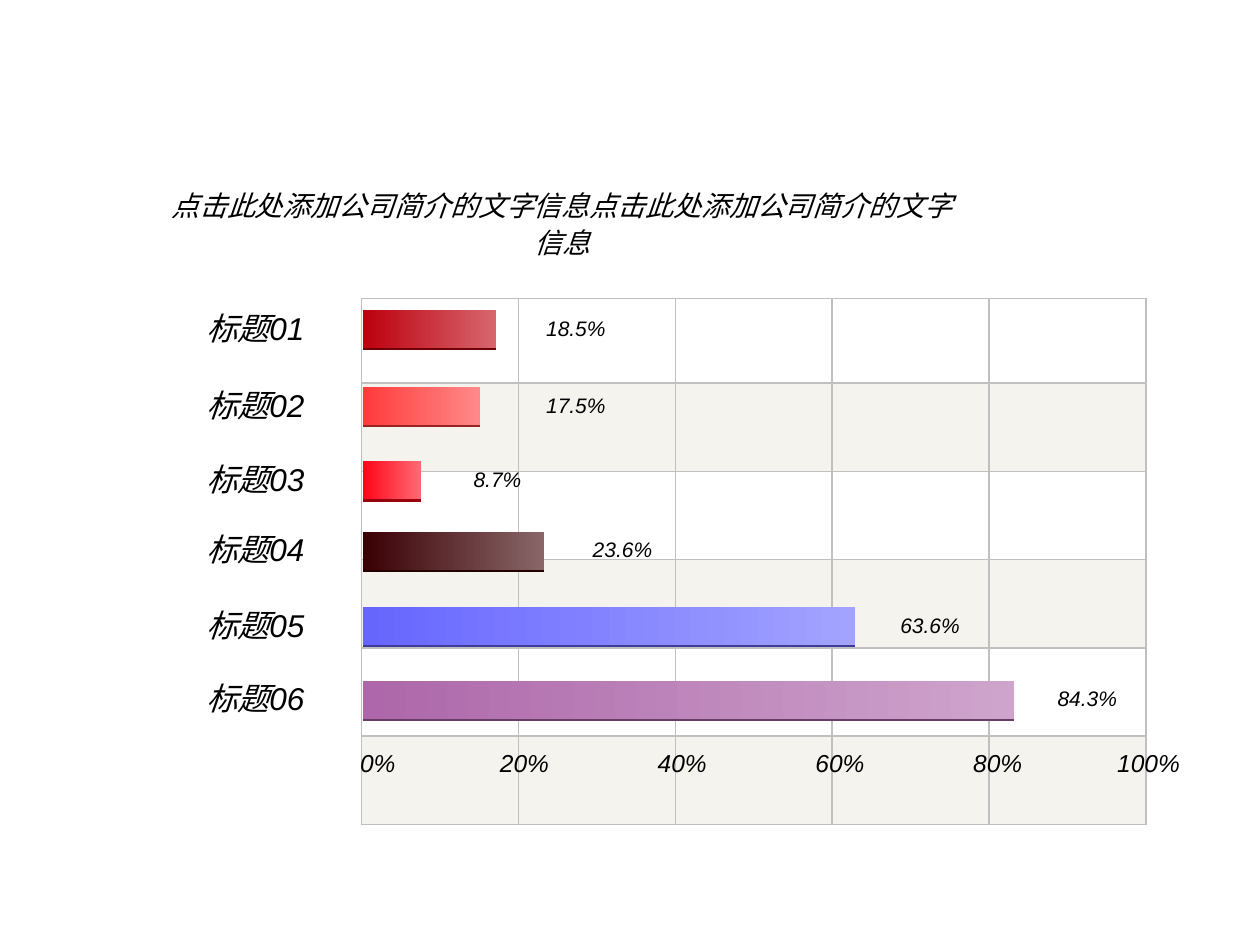
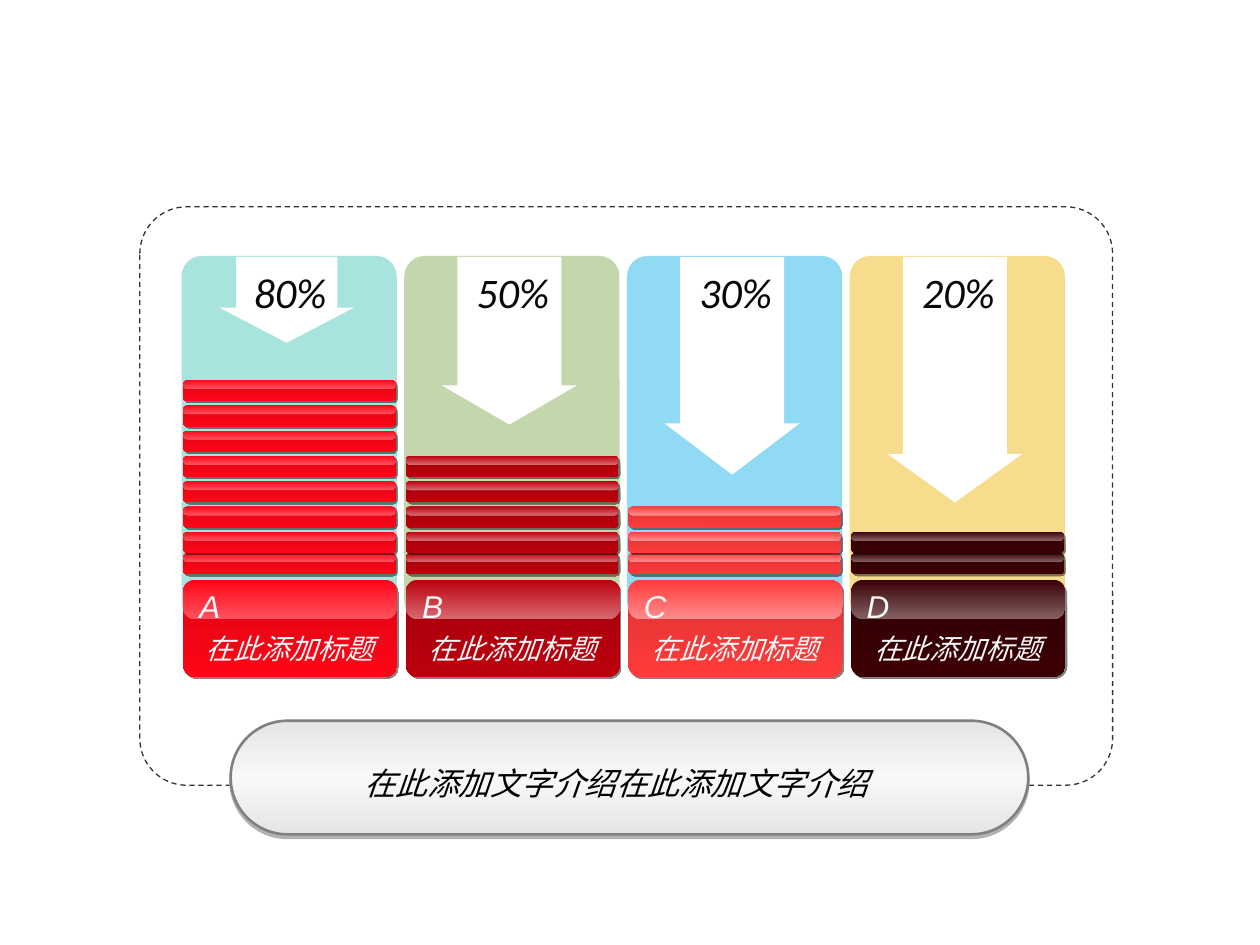
from collections import namedtuple

from lxml.etree import SubElement
from pptx import Presentation
from pptx.dml.color import RGBColor
from pptx.enum.dml import MSO_LINE
from pptx.enum.shapes import MSO_SHAPE as Preset
from pptx.enum.text import MSO_ANCHOR as Anchor, MSO_AUTO_SIZE as AutoSize, PP_ALIGN as Align
from pptx.oxml.ns import qn
from pptx.util import Cm, Pt

BLACK = "000000"
WHITE = "FFFFFF"
NEAR_WHITE = "F8F8F8"
NEAR_BLACK = "080808"
GRID = "C0C0C0"
BAND = "EDE9DF"

Box = namedtuple("Box", "left top width height")
Bar = namedtuple("Bar", "label value top width value_left start end edge")
Column = namedtuple("Column", "letter percent blocks panel dark main shine arrow_height neck head")

BARS = [
    Bar("标题01", "18.5%", 0.23, 2.69, 3.1, "BC000D", "D7666E", "710008"),
    Bar("标题02", "17.5%", 1.78, 2.36, 3.1, "FF3B3B", "FF8989", "992323"),
    Bar("标题03", "8.7%", 3.28, 1.17, 1.52, "FF0517", "FF6974", "99030E"),
    Bar("标题04", "23.6%", 4.7, 3.66, 4.04, "3A0004", "896668", "230002"),
    Bar("标题05", "63.6%", 6.22, 9.93, 10.24, "6666FF", "A3A3FF", "3D3D99"),
    Bar("标题06", "84.3%", 7.7, 13.13, 13.41, "AD67AA", "CEA4CC", "683E66"),
]
COLUMNS = [
    Column("A", "80%", 8, "52CABF", "DB0414", "FF0517", "FF515E", 1.73, 0.75, 0.41),
    Column("B", "50%", 5, "8AAE5A", "A1000B", "BC000D", "D76870", 3.38, 0.77, 0.29),
    Column("C", "30%", 3, "25B7EB", "DB3333", "FF3B3B", "FF8B8B", 4.39, 0.77, 0.38),
    Column("D", "20%", 2, "F3BB1D", "320003", "3A0004", "846062", 4.95, 0.77, 0.36),
]


def rgb(color):
    return RGBColor.from_string(color)


def add_color(parent, color, alpha=100):
    element = SubElement(parent, qn("a:srgbClr"), val=color)
    if alpha < 100:
        SubElement(element, qn("a:alpha"), val=str(alpha * 1000))


def add_shadow(effects, color, distance, angle, alpha=100):
    shadow = SubElement(effects, qn("a:outerShdw"), blurRad="0", dist=str(Pt(distance)),
                        dir=str(angle * 60000), algn="ctr", rotWithShape="0")
    add_color(shadow, color, alpha)


def paint(target, properties, colors, alpha=100, angle=90):
    if len(colors) == 1:
        target.fill.solid()
        target.fill.fore_color.rgb = rgb(colors[0])
        fill = properties.find(qn("a:solidFill"))
        fill.clear()
        add_color(fill, colors[0], alpha)
        return
    target.fill.gradient()
    fill = properties.find(qn("a:gradFill"))
    fill.clear()
    stops = SubElement(fill, qn("a:gsLst"))
    for index, color in enumerate(colors):
        position = 100000 * index // (len(colors) - 1)
        add_color(SubElement(stops, qn("a:gs"), pos=str(position)), color)
    SubElement(fill, qn("a:lin"), ang=str(angle * 60000), scaled="0")


def add_block(shapes, preset, box, *colors, alpha=100, angle=90, adjustments=(),
              line=None, line_width=0.75, dash=None, shadow=None):
    shape = shapes.add_shape(preset, *map(Cm, box))
    properties = shape._element.spPr
    for index, value in enumerate(adjustments):
        shape.adjustments[index] = value
    paint(shape, properties, colors, alpha, angle)
    if line:
        shape.line.color.rgb = rgb(line)
        shape.line.width = Pt(line_width)
        shape.line.dash_style = dash
    else:
        shape.line.fill.background()
    shape.shadow.inherit = False
    if shadow:
        add_shadow(properties.find(qn("a:effectLst")), **shadow)
    return shape


def write(shape, text, size=18, color=BLACK, font="Arial", align=Align.CENTER,
          line_spacing=None, shadow=False):
    frame = shape.text_frame
    frame.word_wrap = True
    frame.auto_size = AutoSize.NONE
    frame.vertical_anchor = Anchor.TOP
    paragraph = frame.paragraphs[0]
    paragraph.alignment = align
    paragraph.line_spacing = line_spacing
    run = paragraph.add_run()
    run.text = text
    run.font.size = Pt(size)
    run.font.name = font
    run.font.italic = True
    run.font.color.rgb = rgb(color)
    if shadow:
        properties = run._r.get_or_add_rPr()
        effects = SubElement(properties, qn("a:effectLst"))
        add_shadow(effects, BLACK, 1.4, 45)
        properties.find(qn("a:solidFill")).addnext(effects)
    return paragraph


def add_text(slide, box, text, **style):
    return write(slide.shapes.add_textbox(*map(Cm, box)), text, **style)


def add_heading(slide, box, text):
    title = slide.shapes.title
    title.left, title.top, title.width, title.height = map(Cm, box)
    write(title, text, size=16, line_spacing=1.1)


def border_cell(cell):
    properties = cell._tc.get_or_add_tcPr()
    for index, side in enumerate(("a:lnL", "a:lnR", "a:lnT", "a:lnB")):
        line = SubElement(properties, qn(side), w=str(Pt(1)))
        add_color(SubElement(line, qn("a:solidFill")), GRID)
        properties.insert(index, line)


def add_grid(slide, box):
    table = slide.shapes.add_table(6, 5, *map(Cm, box)).table
    table.first_row = False
    table.horz_banding = False
    for column in table.columns:
        column.width = Cm(box.width / 5)
    for index, row in enumerate(table.rows):
        row.height = Cm(1.78 if index else 1.7)
        for cell in row.cells:
            if index % 2:
                paint(cell, cell._tc.get_or_add_tcPr(), [BAND], alpha=50)
            else:
                cell.fill.background()
            border_cell(cell)


def add_axis(slide, box):
    labels = "\t".join(f"{percent}%" for percent in range(0, 101, 20))
    paragraph = add_text(slide, box, labels, size=14, align=Align.LEFT)
    stops = SubElement(paragraph._p.get_or_add_pPr(), qn("a:tabLst"))
    for index in range(5):
        SubElement(stops, qn("a:tab"), pos=str(Cm(3.81 + 3.18 * index)), algn="r")


def add_bar(slide, box, bar):
    top = box.top + bar.top
    add_text(slide, Box(box.left - 4.25, top - 0.15, 4.22, 1.02), bar.label)
    add_block(slide.shapes, Preset.RECTANGLE, Box(box.left + 0.02, top, bar.width, 0.77),
              bar.start, bar.end, angle=0,
              shadow=dict(color=bar.edge, distance=1.2, angle=90))
    add_text(slide, Box(box.left + bar.value_left, top - 0.02, 2.44, 0.76), bar.value, size=12)


def build_bar_slide(presentation):
    slide = presentation.slides.add_slide(presentation.slide_layouts[5])
    box = Box(7.29, 6.02, 15.81, 10.6)
    add_grid(slide, box)
    for bar in BARS:
        add_bar(slide, box, bar)
    add_axis(slide, Box(box.left - 0.28, box.top + 8.94, 17.12, 0.84))
    add_heading(slide, Box(3.18, 3.61, 16.31, 1.75), "点击此处添加公司简介的文字信息点击此处添加公司简介的文字信息")


def add_glossy_block(slide, box, column, gloss_height, corner, gloss_corner):
    shapes = slide.shapes.add_group_shape().shapes
    add_block(shapes, Preset.ROUNDED_RECTANGLE, box, column.dark, column.main,
              adjustments=[corner],
              shadow=dict(color=NEAR_BLACK, distance=1.4, angle=45, alpha=50))
    add_block(shapes, Preset.ROUNDED_RECTANGLE, box._replace(height=gloss_height),
              column.main, column.shine, adjustments=[gloss_corner])


def add_column(slide, box, column):
    left, top = box.left, box.top
    add_block(slide.shapes, Preset.ROUNDED_RECTANGLE, box, column.panel, alpha=50,
              adjustments=[0.095])
    add_block(slide.shapes, Preset.DOWN_ARROW,
              Box(left + 0.76, top + 0.02, 2.72, column.arrow_height), WHITE,
              adjustments=[column.neck, column.head])
    add_text(slide, Box(left + 0.68, top + 0.09, 3.02, 1.27), column.percent,
             size=24, color=NEAR_BLACK, font="Calibri")
    add_glossy_block(slide, Box(left + 0.03, top + 6.53, 4.32, 1.96), column, 0.79, 0.13, 0.31)
    add_text(slide, Box(left + 0.2, top + 7.44, 3.96, 0.94), "在此添加标题",
             size=16, color=NEAR_WHITE, font="Calibri", shadow=True)
    add_text(slide, Box(left + 0.06, top + 6.55, 1.02, 1.02), column.letter,
             color=NEAR_WHITE, shadow=True)
    for index in range(column.blocks):
        block_top = top + (6.07 - 0.51 * index if index else 5.99)
        add_glossy_block(slide, Box(left + 0.03, block_top, 4.29, 0.43), column, 0.18, 0.21, 0.5)


def add_caption(slide, box, text):
    add_block(slide.shapes, Preset.ROUNDED_RECTANGLE, box, "E5E5E5", "F8F8F8", "E5E5E5",
              adjustments=[0.5], line="808080", line_width=1.5,
              shadow=dict(color="B2B2B2", distance=2, angle=90))
    add_text(slide, Box(box.left + 1.27, box.top + 0.68, 13, 1.09), text, line_spacing=1.1)


def build_column_slide(presentation):
    slide = presentation.slides.add_slide(presentation.slide_layouts[6])
    frame = Box(2.82, 4.17, 19.61, 11.66)
    add_block(slide.shapes, Preset.ROUNDED_RECTANGLE, frame, WHITE, alpha=50,
              adjustments=[0.081], line="333333", dash=MSO_LINE.DASH)
    add_caption(slide, Box(frame.left + 1.83, frame.top + 10.36, 16.08, 2.29),
                "在此添加文字介绍在此添加文字介绍")
    for index, column in enumerate(COLUMNS):
        box = Box(frame.left + 0.84 + 4.49 * index, frame.top + 0.99, 4.34, 7.37)
        add_column(slide, box, column)


def main():
    presentation = Presentation()
    presentation.slide_width = Cm(25.4)
    presentation.slide_height = Cm(19.05)
    build_bar_slide(presentation)
    build_column_slide(presentation)
    presentation.save("out.pptx")


if __name__ == "__main__":
    main()
